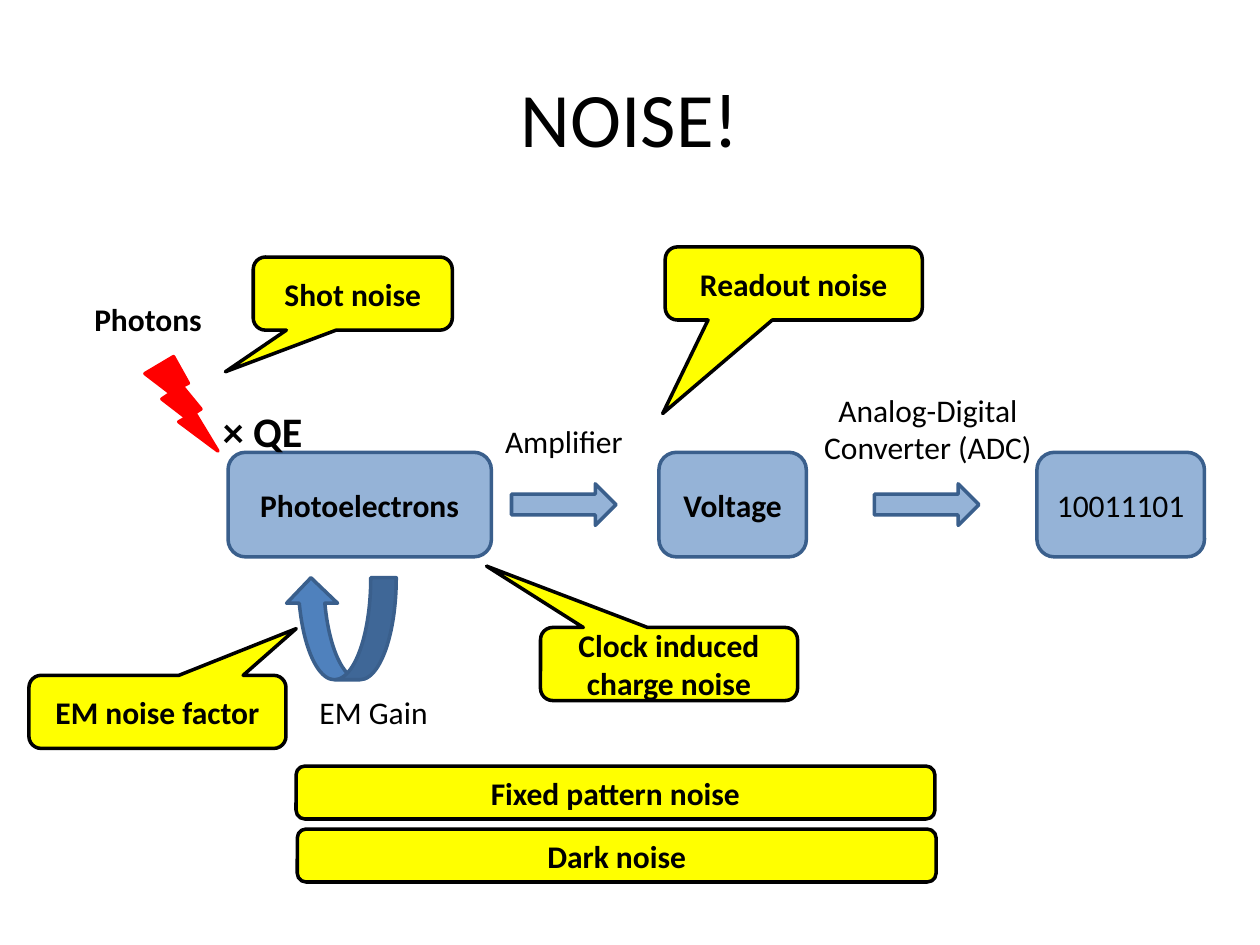
from typing import NamedTuple

from pptx import Presentation
from pptx.dml.color import RGBColor
from pptx.enum.shapes import MSO_SHAPE as Preset
from pptx.enum.text import MSO_ANCHOR as Anchor, MSO_AUTO_SIZE as AutoSize, PP_ALIGN as Align
from pptx.util import Inches, Pt

COLORS = {
    "ink": "000000",
    "stage": "95B3D7",
    "stage_edge": "3A5F8C",
    "gain": "4F81BD",
    "photon": "FF0000",
    "noise": "FFFF00",
}
FONT = "Calibri"


class Box(NamedTuple):
    left: float
    top: float
    width: float
    height: float


class Stage(NamedTuple):
    text: str
    left: float
    width: float
    bold: bool = True


class Noise(NamedTuple):
    text: str
    box: Box
    tip: tuple[float, float] | None = None  # callout tip, relative to the box centre


class Label(NamedTuple):
    text: str
    box: Box
    size: int = 18
    bold: bool = False
    align: Align = Align.LEFT


STAGE_TOP, STAGE_HEIGHT = 3.59, 0.83
STAGES = [
    Stage("Photoelectrons", 1.81, 2.09),
    Stage("Voltage", 5.23, 1.17),
    Stage("10011101", 8.23, 1.33, bold=False),
]
ARROW_LEFTS = [4.06, 6.94]

LABELS = [
    Label("Amplifier", Box(3.91, 3.3, 1.15, 0.4)),
    Label("Analog-Digital\vConverter (ADC)", Box(6.43, 3.05, 1.87, 0.71), align=Align.CENTER),
    Label("× QE", Box(1.67, 3.17, 0.84, 0.5), size=24, bold=True),
    Label("Photons", Box(0.65, 2.33, 1.06, 0.4), bold=True),
    Label("EM Gain", Box(2.43, 5.45, 1.07, 0.4), align=Align.CENTER),
]

NOISES = [
    Noise("Shot noise", Box(2.01, 2.04, 1.58, 0.58), (-0.64, 1.07)),
    Noise("Readout noise", Box(5.28, 1.96, 2.04, 0.58), (-0.51, 1.78)),
    Noise("Clock induced charge noise", Box(4.29, 4.98, 2.04, 0.58), (-0.71, -1.34)),
    Noise("EM noise factor", Box(0.23, 5.36, 2.04, 0.58), (0.54, -1.14)),
    Noise("Fixed pattern noise", Box(2.35, 6.08, 5.07, 0.42)),
    Noise("Dark noise", Box(2.36, 6.58, 5.07, 0.42)),
]


def color(name: str) -> RGBColor:
    return RGBColor.from_string(COLORS[name])


def write(frame, text: str, size: int = 18, bold: bool = False, align: Align = Align.CENTER) -> None:
    frame.text = text
    for paragraph in frame.paragraphs:
        paragraph.alignment = align
        for run in paragraph.runs:
            run.font.name = FONT
            run.font.size = Pt(size)
            run.font.bold = bold
            run.font.color.rgb = color("ink")


def add_preset(slide, preset: Preset, box: Box, fill: str, edge: str):
    shape = slide.shapes.add_shape(preset, *map(Inches, box))
    shape.shadow.inherit = False
    shape.fill.solid()
    shape.fill.fore_color.rgb = color(fill)
    shape.line.color.rgb = color(edge)
    shape.line.width = Pt(2)
    shape.text_frame.vertical_anchor = Anchor.MIDDLE
    return shape


def add_stage(slide, stage: Stage) -> None:
    box = Box(stage.left, STAGE_TOP, stage.width, STAGE_HEIGHT)
    shape = add_preset(slide, Preset.ROUNDED_RECTANGLE, box, "stage", "stage_edge")
    write(shape.text_frame, stage.text, bold=stage.bold)


def add_noise(slide, noise: Noise) -> None:
    preset = Preset.ROUNDED_RECTANGULAR_CALLOUT if noise.tip else Preset.ROUNDED_RECTANGLE
    shape = add_preset(slide, preset, noise.box, "noise", "ink")
    if noise.tip:
        shape.adjustments[0], shape.adjustments[1] = noise.tip
    write(shape.text_frame, noise.text, bold=True)


def add_label(slide, label: Label) -> None:
    frame = slide.shapes.add_textbox(*map(Inches, label.box)).text_frame
    frame.word_wrap = False
    frame.auto_size = AutoSize.SHAPE_TO_FIT_TEXT
    write(frame, label.text, label.size, label.bold, label.align)


def add_title(slide, text: str) -> None:
    frame = slide.shapes.add_textbox(*map(Inches, Box(0.5, 0.3, 9, 1.25))).text_frame
    frame.word_wrap = True
    frame.vertical_anchor = Anchor.MIDDLE
    write(frame, text, size=44)


def main() -> None:
    deck = Presentation()
    deck.slide_width, deck.slide_height = Inches(10), Inches(7.5)
    slide = deck.slides.add_slide(deck.slide_layouts[6])

    add_title(slide, "NOISE!")
    for stage in STAGES:
        add_stage(slide, stage)
    for left in ARROW_LEFTS:
        add_preset(slide, Preset.RIGHT_ARROW, Box(left, 3.84, 0.83, 0.33), "stage", "stage_edge")
    add_preset(slide, Preset.LIGHTNING_BOLT, Box(1.15, 2.83, 0.58, 0.75), "photon", "photon")
    gain_loop = add_preset(
        slide, Preset.CURVED_LEFT_ARROW, Box(2.3, 4.55, 0.81, 0.88), "gain", "stage_edge"
    )
    gain_loop.rotation = 90
    for label in LABELS:
        add_label(slide, label)
    for noise in NOISES:
        add_noise(slide, noise)

    deck.save("out.pptx")


if __name__ == "__main__":
    main()
